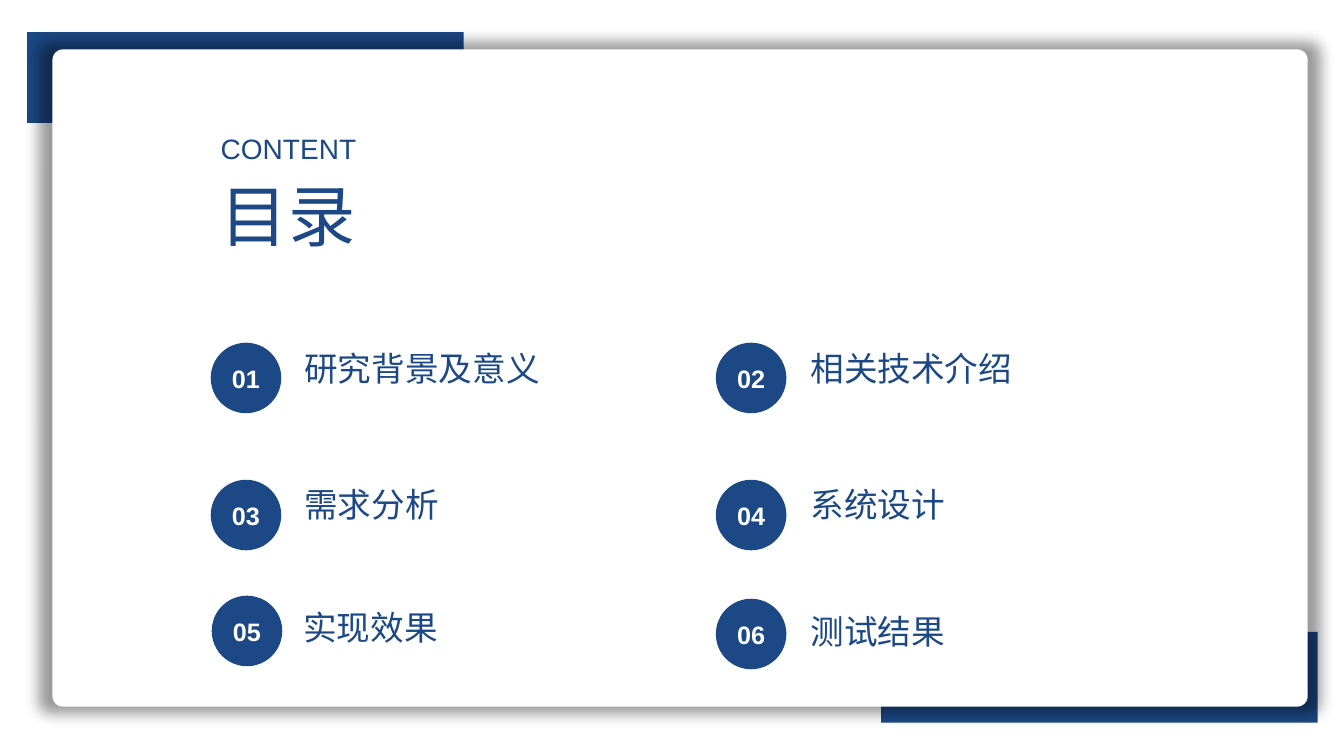
"""Build the contents slide with six numbered chapters inside a framed card."""
from dataclasses import dataclass

import lxml.etree
import pptx
import pptx.dml.color
import pptx.enum.shapes
import pptx.enum.text
import pptx.oxml
import pptx.oxml.ns
import pptx.shapes.autoshape
import pptx.slide
import pptx.util

EMU_PER_PX = 9144
SHAPE = pptx.enum.shapes.MSO_SHAPE
ALIGN = pptx.enum.text.PP_ALIGN
ANCHOR = pptx.enum.text.MSO_ANCHOR


@dataclass(frozen=True)
class Theme:
    navy: str = "1C4885"
    white: str = "FFFFFF"
    font: str = "Arial"
    title_size: int = 48
    subtitle_size: int = 20
    chapter_size: int = 24
    badge_size: int = 18


@dataclass(frozen=True)
class Box:
    left: int
    top: int
    width: int
    height: int

    def emu(self) -> tuple[int, int, int, int]:
        return px(self.left), px(self.top), px(self.width), px(self.height)


@dataclass(frozen=True)
class Chapter:
    heading: str
    badge_left: int
    badge_top: int
    heading_left: int
    heading_top: int


THEME = Theme()
BADGE_DIAMETER = 70
CORNERS = (Box(874, 627, 433, 90), Box(27, 32, 433, 90))
CARD = Box(52, 49, 1245, 652)
TITLE = Box(209, 168, 254, 91)
SUBTITLE = Box(209, 126, 254, 44)
CHAPTERS = (
    Chapter("研究背景及意义", 209, 340, 292, 340),
    Chapter("相关技术介绍", 710, 340, 794, 340),
    Chapter("需求分析", 209, 476, 292, 475),
    Chapter("系统设计", 710, 476, 794, 475),
    Chapter("实现效果", 210, 591, 291, 597),
    Chapter("测试结果", 710, 594, 794, 601),
)


def px(length: int) -> int:
    return pptx.util.Emu(length * EMU_PER_PX)


def rgb(value: str) -> pptx.dml.color.RGBColor:
    return pptx.dml.color.RGBColor.from_string(value)


def style_text(frame: pptx.text.text.TextFrame, text: str, size: int, color: str,
               align: ALIGN, anchor: ANCHOR, bold: bool = False) -> None:
    frame.text = text
    frame.word_wrap = True
    frame.vertical_anchor = anchor
    paragraph = frame.paragraphs[0]
    paragraph.alignment = align
    font = paragraph.runs[0].font
    font.name = THEME.font
    font.size = pptx.util.Pt(size)
    font.bold = bold
    font.color.rgb = rgb(color)


def style_heading(frame: pptx.text.text.TextFrame, text: str, size: int) -> None:
    style_text(frame, text, size, THEME.navy, ALIGN.JUSTIFY, ANCHOR.TOP)
    frame.auto_size = pptx.enum.text.MSO_AUTO_SIZE.SHAPE_TO_FIT_TEXT


def add_panel(slide: pptx.slide.Slide, kind: SHAPE, box: Box,
              color: str) -> pptx.shapes.autoshape.Shape:
    panel = slide.shapes.add_shape(kind, *box.emu())
    panel.shadow.inherit = False
    panel.fill.solid()
    panel.fill.fore_color.rgb = rgb(color)
    panel.line.fill.background()
    return panel


def add_heading(slide: pptx.slide.Slide, box: Box, text: str, size: int) -> None:
    heading = slide.shapes.add_textbox(*box.emu())
    style_heading(heading.text_frame, text, size)


def add_glow_shadow(card: pptx.shapes.autoshape.Shape) -> None:
    effects = card.element.spPr.find(pptx.oxml.ns.qn("a:effectLst"))
    shadow = lxml.etree.SubElement(
        effects, pptx.oxml.ns.qn("a:outerShdw"), blurRad="127000",
        sx="102000", sy="102000", algn="ctr", rotWithShape="0")
    black = lxml.etree.SubElement(shadow, pptx.oxml.ns.qn("a:prstClr"), val="black")
    lxml.etree.SubElement(black, pptx.oxml.ns.qn("a:alpha"), val="40000")


def add_chapter(slide: pptx.slide.Slide, number: int, chapter: Chapter) -> None:
    badge_box = Box(chapter.badge_left, chapter.badge_top, BADGE_DIAMETER, BADGE_DIAMETER)
    badge = add_panel(slide, SHAPE.OVAL, badge_box, THEME.navy)
    style_text(badge.text_frame, f"{number:02d}", THEME.badge_size, THEME.white,
               ALIGN.CENTER, ANCHOR.MIDDLE, bold=True)
    heading_box = Box(chapter.heading_left, chapter.heading_top, 405, 50)
    add_heading(slide, heading_box, chapter.heading, THEME.chapter_size)


def main() -> None:
    deck = pptx.Presentation()
    deck.slide_width, deck.slide_height = px(1333), px(750)
    slide = deck.slides.add_slide(deck.slide_layouts.get_by_name("Title Only"))
    for corner in CORNERS:
        add_panel(slide, SHAPE.RECTANGLE, corner, THEME.navy)
    card = add_panel(slide, SHAPE.ROUNDED_RECTANGLE, CARD, THEME.white)
    card.adjustments[0] = 0.016
    add_glow_shadow(card)

    title = slide.shapes.title
    title.left, title.top, title.width, title.height = TITLE.emu()
    style_heading(title.text_frame, "目录", THEME.title_size)
    card.element.addnext(title.element)
    add_heading(slide, SUBTITLE, "CONTENT", THEME.subtitle_size)

    for number, chapter in enumerate(CHAPTERS, start=1):
        add_chapter(slide, number, chapter)
    deck.save("out.pptx")


if __name__ == "__main__":
    main()
